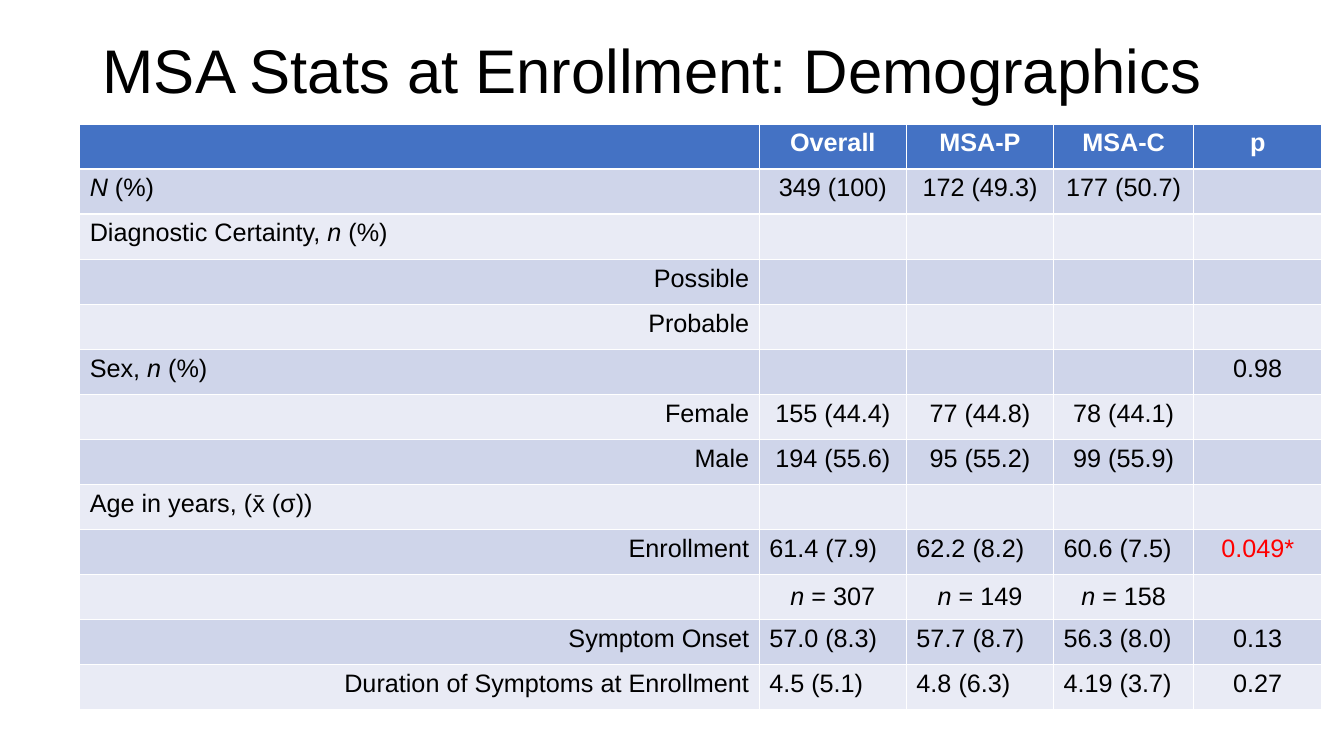
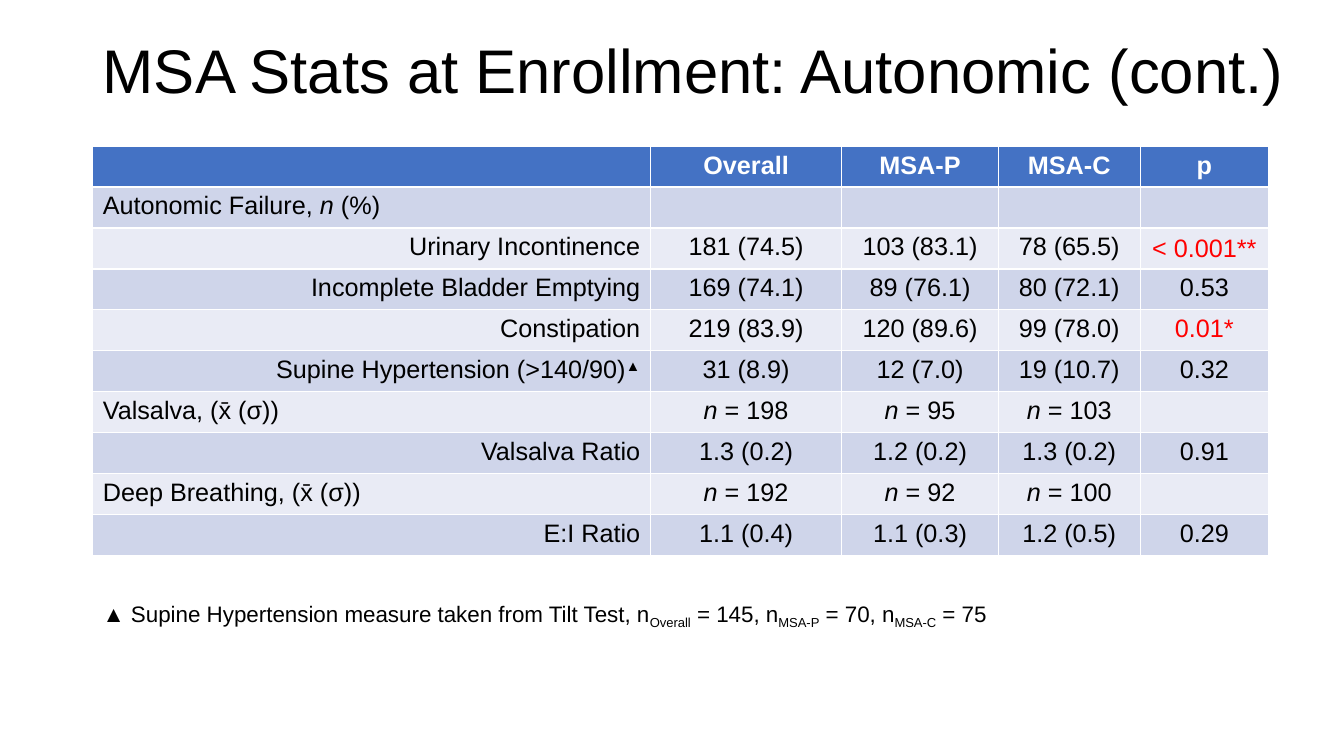
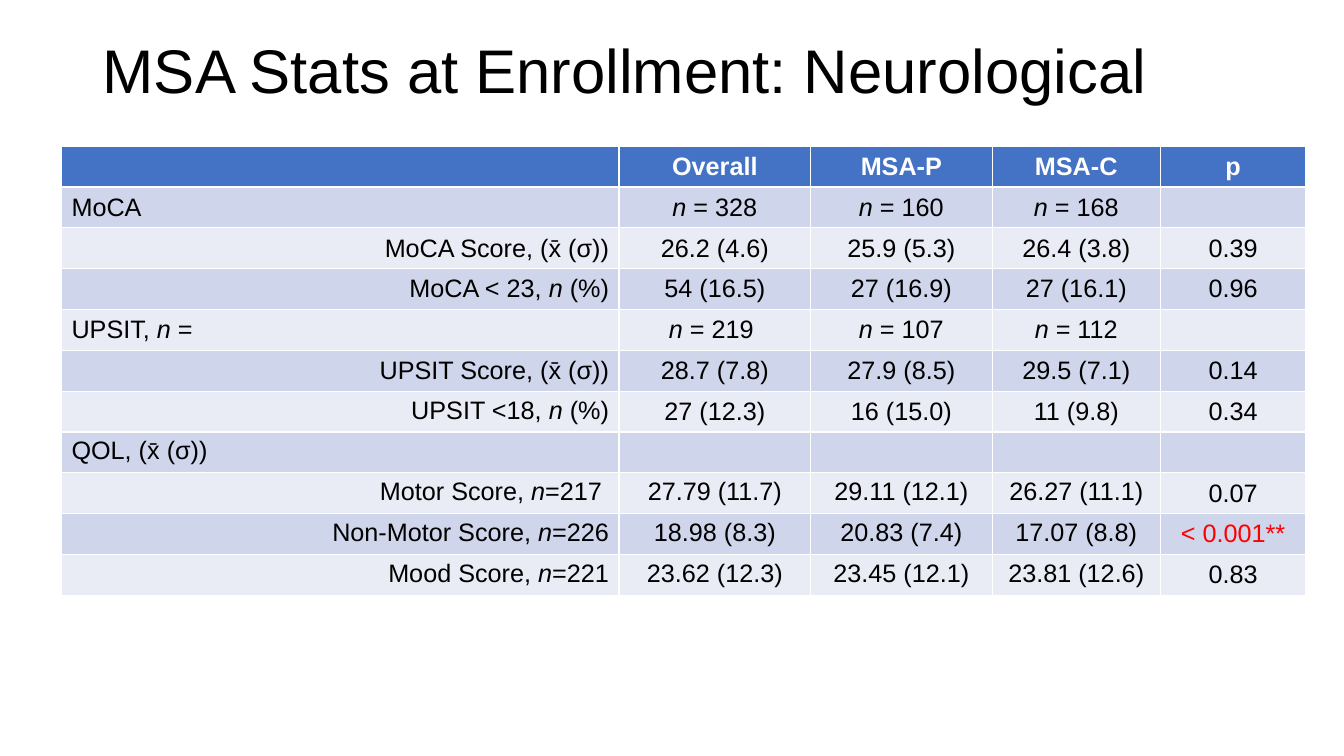
from pptx import Presentation
from pptx.dml.color import RGBColor
from pptx.enum.text import MSO_ANCHOR, PP_ALIGN
from pptx.util import Inches, Pt

LEFT, CENTER, RIGHT = PP_ALIGN.LEFT, PP_ALIGN.CENTER, PP_ALIGN.RIGHT
TOP, MIDDLE = MSO_ANCHOR.TOP, MSO_ANCHOR.MIDDLE

FONT = "Arial"
COLORS = {
    "text": "000000",
    "header": "4472C4",
    "header_text": "FFFFFF",
    "odd_row": "CFD5EA",
    "even_row": "E9EBF5",
    "significant": "FF0000",
}
BASELINES = {"^": "30000", "~": "-25000"}
HEADINGS = ("", "Overall", "MSA-P", "MSA-C", "p")
P_COLUMN = len(HEADINGS) - 1


def color(name):
    return RGBColor.from_string(COLORS[name])


class Deck:
    """Text markup: '|' separates runs; a run may start with
    '_' (italic), '^' (superscript) or '~' (subscript)."""

    def __init__(self):
        self.prs = Presentation()
        self.prs.slide_width = Inches(13.33)
        self.prs.slide_height = Inches(7.5)
        self.slide = None

    def fill_paragraph(self, paragraph, text, size, color_name="text", align=LEFT, bold=False):
        paragraph.alignment = align
        font = paragraph.font
        font.name, font.size, font.bold = FONT, Pt(size), bold
        font.color.rgb = color(color_name)
        for piece in filter(None, text.split("|")):
            run = paragraph.add_run()
            mark = piece[0]
            if mark == "_":
                run.font.italic = True
            elif mark in BASELINES:
                run._r.get_or_add_rPr().set("baseline", BASELINES[mark])
            else:
                mark = ""
            run.text = piece[len(mark):]

    def text(self, text, left, top, width, height, size, anchor=TOP):
        box = self.slide.shapes.add_textbox(
            Inches(left), Inches(top), Inches(width), Inches(height))
        frame = box.text_frame
        frame.word_wrap = True
        frame.vertical_anchor = anchor
        paragraph = frame.paragraphs[0]
        self.fill_paragraph(paragraph, text, size)
        return paragraph

    def new_slide(self, title, title_width=12.1):
        self.slide = self.prs.slides.add_slide(self.prs.slide_layouts[6])
        heading = self.text(title, 0.92, 0, title_width, 1.45, 44, MIDDLE)
        heading.line_spacing = 0.9

    def stats_table(self, rows, left, top, height, widths, middle=(), left_rows=()):
        """Labels starting with '>' are sub-items, set to the right.
        middle holds (row, column) pairs that are centred vertically."""
        rows = [HEADINGS, *rows]
        table = self.slide.shapes.add_table(
            len(rows), len(widths), Inches(left), Inches(top),
            Inches(sum(widths)), Inches(height)).table
        table.horz_banding = False
        for column, width in zip(table.columns, widths):
            column.width = Inches(width)

        for r, row in enumerate(rows):
            is_header = r == 0
            fill = "header" if is_header else "odd_row" if r % 2 else "even_row"
            for c, text in enumerate(row):
                cell = table.cell(r, c)
                cell.fill.solid()
                cell.fill.fore_color.rgb = color(fill)
                if (r, c) in middle:
                    cell.vertical_anchor = MIDDLE
                if c == 0:
                    align = RIGHT if text.startswith(">") else LEFT
                    text = text.removeprefix(">")
                else:
                    align = LEFT if r in left_rows and c < P_COLUMN else CENTER
                ink = "text"
                if is_header:
                    ink = "header_text"
                elif text.endswith("*"):
                    ink = "significant"
                self.fill_paragraph(
                    cell.text_frame.paragraphs[0], text, 18, ink, align, is_header)


deck = Deck()

# Demographics
deck.new_slide("MSA Stats at Enrollment: Demographics", 11.5)
deck.stats_table(
    [
        ("_N| (%)", "349 (100)", "172 (49.3)", "177 (50.7)", ""),
        ("Diagnostic Certainty, |_n| (%)", "", "", "", ""),
        (">Possible", "", "", "", ""),
        (">Probable", "", "", "", ""),
        ("Sex, |_n| (%)", "", "", "", "0.98"),
        (">Female", "155 (44.4)", "77 (44.8)", "78 (44.1)", ""),
        (">Male", "194 (55.6)", "95 (55.2)", "99 (55.9)", ""),
        ("Age in years, (x\u0304\u00a0(σ))", "", "", "", ""),
        (">Enrollment", "61.4 (7.9)", "62.2 (8.2)", "60.6 (7.5)", "0.049*"),
        ("", "_n| = 307", "_n| = 149", "_n| = 158", ""),
        (">Symptom Onset", "57.0 (8.3)", "57.7 (8.7)", "56.3 (8.0)", "0.13"),
        (">Duration of Symptoms at Enrollment", "4.5 (5.1)", "4.8 (6.3)", "4.19 (3.7)", "0.27"),
    ],
    0.79, 1.23, 5.81, (6.74, 1.46, 1.46, 1.39, 1.27),
    middle={(10, c) for c in range(1, P_COLUMN)},
    left_rows={9, 11, 12},
)

# Autonomic
deck.new_slide("MSA Stats at Enrollment: Autonomic (cont.)")
deck.stats_table(
    [
        ("Autonomic Failure, |_n| (%)", "", "", "", ""),
        (">Urinary Incontinence", "181 (74.5)", "103 (83.1)", "78 (65.5)", "< 0.001**"),
        (">Incomplete Bladder Emptying", "169 (74.1)", "89 (76.1)", "80 (72.1)", "0.53"),
        (">Constipation", "219 (83.9)", "120 (89.6)", "99 (78.0)", "0.01*"),
        (">Supine Hypertension (>140/90)|^▲", "31 (8.9)", "12 (7.0)", "19 (10.7)", "0.32"),
        ("Valsalva, (x\u0304 (σ))", "_n| = 198", "_n| = 95", "_n| = 103", ""),
        (">Valsalva Ratio", "1.3 (0.2)", "1.2 (0.2)", "1.3 (0.2)", "0.91"),
        ("Deep Breathing, (x\u0304 (σ))", "_n| = 192", "_n| = 92", "_n| = 100", ""),
        (">E:I Ratio", "1.1 (0.4)", "1.1 (0.3)", "1.2 (0.5)", "0.29"),
    ],
    0.92, 1.45, 4.06, (5.53, 1.9, 1.55, 1.41, 1.27),
    middle={(2, P_COLUMN)},
)
deck.text(
    "▲ Supine Hypertension measure taken from Tilt Test, "
    "n|~Overall| = 145, n|~MSA-P| = 70, n|~MSA-C| = 75",
    0.92, 5.9, 10.38, 0.37, 16)

# Neurological
deck.new_slide("MSA Stats at Enrollment: Neurological")
upper_cells = {(r, c) for r in range(7) for c in range(len(HEADINGS))} - {(6, 0)}
quality_of_life_p = {(r, P_COLUMN) for r in range(8, 11)}
deck.stats_table(
    [
        ("MoCA ", "_n| = 328", "_n| = 160", "_n| = 168", ""),
        (">MoCA Score, (x\u0304 (σ))", "26.2 (4.6)", "25.9 (5.3)", "26.4 (3.8)", "0.39"),
        (">MoCA < 23, |_n| (%)", "54 (16.5)", "27 (16.9)", "27 (16.1)", "0.96"),
        ("UPSIT, |_n| = ", "_n| = 219 ", "_n| = 107", "_n| = 112", ""),
        (">UPSIT Score, (x\u0304 (σ))", "28.7 (7.8)", "27.9 (8.5)", "29.5 (7.1)", "0.14"),
        (">UPSIT <18, |_n| (%)", "27 (12.3)", "16 (15.0)", "11 (9.8)", "0.34"),
        ("QOL, (x\u0304 (σ))", "", "", "", ""),
        (">Motor Score, |_n|=217 ", "27.79 (11.7)", "29.11 (12.1)", "26.27 (11.1)", "0.07"),
        (">Non-Motor Score, |_n|=226", "18.98 (8.3)", "20.83 (7.4)", "17.07 (8.8)", "< 0.001**"),
        (">Mood Score, |_n|=221", "23.62 (12.3)", "23.45 (12.1)", "23.81 (12.6)", "0.83"),
    ],
    0.61, 1.45, 4.46, (5.53, 1.9, 1.8, 1.67, 1.44),
    middle=upper_cells | quality_of_life_p,
)

deck.prs.save("out.pptx")
